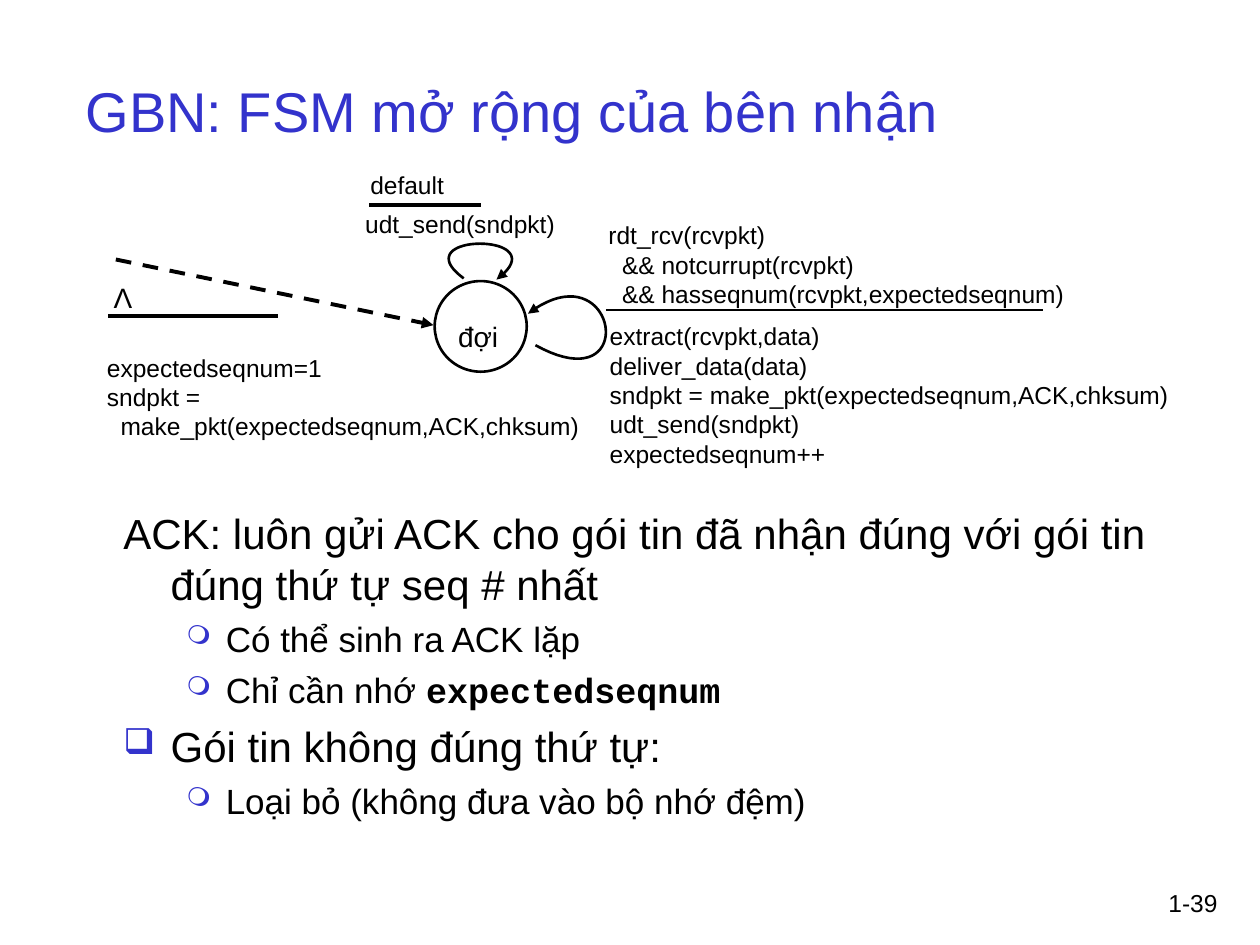
from dataclasses import dataclass

import pptx
import pptx.dml.color
import pptx.enum.dml
import pptx.enum.shapes
import pptx.enum.text
import pptx.oxml.ns
import pptx.util
from lxml import etree

Pt = pptx.util.Pt
ALIGN = pptx.enum.text.PP_ALIGN
ANCHOR = pptx.enum.text.MSO_ANCHOR
BLACK = pptx.dml.color.RGBColor(0x00, 0x00, 0x00)
WHITE = pptx.dml.color.RGBColor(0xFF, 0xFF, 0xFF)
BLUE = pptx.dml.color.RGBColor(0x33, 0x33, 0xCC)
CODE_INDENT = 7.8
CURVE_STEPS = 40


@dataclass
class Line:
    text: str
    indent: float = 0
    hanging: float = 0
    bullet: str = ""
    bullet_size: int = 100
    size: float = 14
    space_before: float = 0
    code: str = ""
    level: int = 0


@dataclass
class Label:
    box: tuple[float, float, float, float]
    lines: list[Line]
    color: pptx.dml.color.RGBColor = BLACK
    align: ALIGN = ALIGN.LEFT
    anchor: ANCHOR = ANCHOR.TOP
    wrap: bool = True


@dataclass
class Stroke:
    start: tuple[float, float]
    end: tuple[float, float]
    width: float = 2.25
    arrow: bool = False


@dataclass
class Loop:
    points: list[tuple[float, float]]  # start, two controls, end


def main_point(text: str, bullet: str = "") -> Line:
    return Line(text, 27, 27, bullet, 85, 24, 6)


def sub_point(text: str, code: str = "") -> Line:
    return Line(text, 58.5, 22.5, "❍", 75, 20, 5, code, 1)


LABELS = [
    Label((653.8, 504, 49, 36), [Line("1-39")], align=ALIGN.RIGHT),
    Label((41.8, 18, 612, 90), [Line("GBN: FSM mở rộng của bên nhận", size=32)],
          color=BLUE, anchor=ANCHOR.MIDDLE),
    Label((63.4, 286.6, 641.5, 224.6), [
        main_point("ACK: luôn gửi ACK cho gói tin đã nhận đúng với gói tin đúng thứ tự seq # nhất"),
        sub_point("Có thể sinh ra ACK lặp"),
        sub_point("Chỉ cần nhớ ", "expectedseqnum"),
        main_point("Gói tin không đúng thứ tự:", "❑"),
        sub_point("Loại bỏ (không đưa vào bộ nhớ đệm)"),
    ]),
    Label((241.9, 179.3, 62.6, 18.7), [Line("đợi", size=16)], align=ALIGN.CENTER),
    Label((201.6, 115.9, 127.4, 24.5), [Line("udt_send(sndpkt)")]),
    Label((204.5, 93.6, 56.9, 19.4), [Line("default")]),
    Label((340.6, 122.4, 280.8, 44.6), [
        Line("rdt_rcv(rcvpkt)"),
        Line("&& notcurrupt(rcvpkt)", CODE_INDENT),
        Line("&& hasseqnum(rcvpkt,expectedseqnum)", CODE_INDENT),
    ]),
    Label((341.3, 180, 339.8, 67.7), [
        Line("extract(rcvpkt,data)"),
        Line("deliver_data(data)"),
        Line("sndpkt = make_pkt(expectedseqnum,ACK,chksum)"),
        Line("udt_send(sndpkt)"),
        Line("expectedseqnum++"),
    ]),
    Label((54, 198, 286.6, 77), [
        Line("expectedseqnum=1"),
        Line("sndpkt ="),
        Line("make_pkt(expectedseqnum,ACK,chksum)", CODE_INDENT),
    ]),
    Label((57.6, 157, 25.2, 26.6), [Line("Λ", size=16)], align=ALIGN.CENTER, wrap=False),
]
STROKES = [
    Stroke((66.2, 148.3), (247.7, 185.8), arrow=True),
    Stroke((211, 117.4), (275, 117.4)),
    Stroke((346.3, 177.1), (596.2, 177.1), 1.5),
    Stroke((61.9, 180.7), (159.1, 180.7)),
]
LOOPS = [
    Loop([(306, 197.3), (367.2, 231.1), (352.8, 140.4), (301.7, 179.3)]),
    Loop([(265, 159.1), (229, 132.5), (320.4, 132.5), (283.7, 159.8)]),
]


def add_child(parent, tag: str, **attributes: str):
    return etree.SubElement(parent, pptx.oxml.ns.qn(tag), **attributes)


def add_arrowhead(shape) -> None:
    add_child(shape.line._get_or_add_ln(), "a:tailEnd", type="triangle")


def add_run(paragraph, text: str, **formats) -> None:
    run = paragraph.add_run()
    run.text = text
    for name, value in formats.items():
        setattr(run.font, name, value)


def draw_label(slide, label: Label) -> None:
    frame = slide.shapes.add_textbox(*map(Pt, label.box)).text_frame
    frame.word_wrap = label.wrap
    frame.vertical_anchor = label.anchor
    for number, line in enumerate(label.lines):
        paragraph = frame.add_paragraph() if number else frame.paragraphs[0]
        paragraph.alignment = label.align
        paragraph.level = line.level
        if number:
            paragraph.space_before = Pt(line.space_before)
        properties = paragraph._p.get_or_add_pPr()
        properties.set("marL", str(Pt(line.indent)))
        properties.set("indent", str(-Pt(line.hanging)))
        if line.bullet:
            color = add_child(properties, "a:buClr")
            add_child(color, "a:srgbClr", val=str(BLUE))
            add_child(properties, "a:buSzPct", val=str(line.bullet_size * 1000))
            add_child(properties, "a:buChar", char=line.bullet)
        formats = {"size": Pt(line.size), "name": "Arial"}
        add_run(paragraph, line.text, **formats)
        if line.code:
            add_run(paragraph, line.code, **formats | {"name": "Courier New", "bold": True})
        for run in paragraph.runs:
            run.font.color.rgb = label.color


def draw_stroke(slide, stroke: Stroke) -> None:
    connector = slide.shapes.add_connector(
        pptx.enum.shapes.MSO_CONNECTOR.STRAIGHT, *map(Pt, stroke.start + stroke.end))
    connector.line.color.rgb = BLACK
    connector.line.width = Pt(stroke.width)
    if stroke.arrow:
        connector.line.dash_style = pptx.enum.dml.MSO_LINE.DASH
        add_arrowhead(connector)
    add_child(connector._element.spPr, "a:effectLst")


def curve_point(loop: Loop, t: float) -> tuple[int, int]:
    weights = ((1 - t) ** 3, 3 * t * (1 - t) ** 2, 3 * t * t * (1 - t), t ** 3)
    x, y = (sum(w * p[axis] for w, p in zip(weights, loop.points)) for axis in (0, 1))
    return Pt(x), Pt(y)


def draw_loop(slide, loop: Loop) -> None:
    points = [curve_point(loop, step / CURVE_STEPS) for step in range(CURVE_STEPS + 1)]
    builder = slide.shapes.build_freeform(*points[0])
    builder.add_line_segments(points[1:], close=False)
    shape = builder.convert_to_shape()
    shape.shadow.inherit = False
    shape.fill.background()
    shape.line.color.rgb = BLACK
    shape.line.width = Pt(1.5)
    add_arrowhead(shape)


def draw_state(slide) -> None:
    state = slide.shapes.add_shape(
        pptx.enum.shapes.MSO_SHAPE.OVAL, Pt(248.4), Pt(160.6), Pt(52.6), Pt(51.8))
    state.shadow.inherit = False
    state.fill.solid()
    state.fill.fore_color.rgb = WHITE
    state.line.color.rgb = BLACK
    state.line.width = Pt(1.5)


def main() -> None:
    presentation = pptx.Presentation()
    presentation.slide_width, presentation.slide_height = Pt(720), Pt(540)
    slide = presentation.slides.add_slide(presentation.slide_layouts[6])
    # State machine
    draw_state(slide)
    for stroke in STROKES:
        draw_stroke(slide, stroke)
    for loop in LOOPS:
        draw_loop(slide, loop)
    # Title, labels and notes on the receiver
    for label in LABELS:
        draw_label(slide, label)
    presentation.save("out.pptx")


if __name__ == "__main__":
    main()
